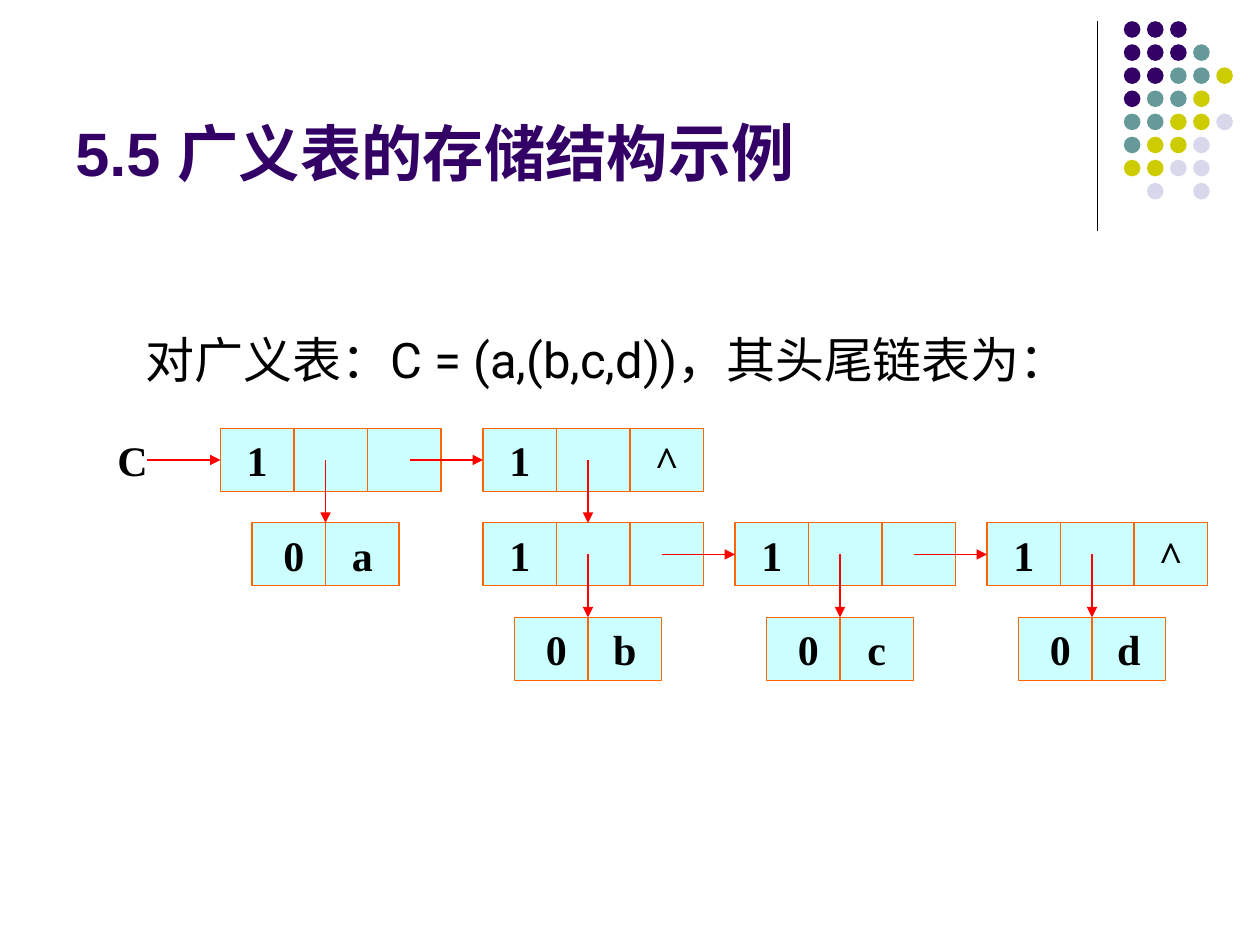
from dataclasses import dataclass

from lxml import etree
from pptx import Presentation
from pptx.dml.color import RGBColor
from pptx.enum.shapes import MSO_CONNECTOR, MSO_SHAPE
from pptx.enum.text import MSO_ANCHOR, PP_ALIGN
from pptx.oxml.ns import qn
from pptx.util import Pt

STRAIGHT = MSO_CONNECTOR.STRAIGHT
RECT, OVAL = MSO_SHAPE.RECTANGLE, MSO_SHAPE.OVAL
TOP, MIDDLE, BOTTOM = MSO_ANCHOR.TOP, MSO_ANCHOR.MIDDLE, MSO_ANCHOR.BOTTOM
LEFT, CENTER = PP_ALIGN.LEFT, PP_ALIGN.CENTER

BLACK = RGBColor(0x00, 0x00, 0x00)
PURPLE = RGBColor(0x33, 0x00, 0x66)
TEAL = RGBColor(0x66, 0x99, 0x99)
OLIVE = RGBColor(0xCC, 0xCC, 0x00)
LAVENDER = RGBColor(0xD8, 0xD8, 0xEC)
CYAN = RGBColor(0xCC, 0xFF, 0xFF)
ORANGE = RGBColor(0xFF, 0x66, 0x00)
RED = RGBColor(0xFF, 0x00, 0x00)

SERIF = "Times New Roman"
CELL_W, CELL_H, ROW_STEP = 42, 36, 54
ROW_1 = 244.8
ROW_2 = ROW_1 + ROW_STEP
ATOM_DX, HEAD_DX, ARROW_LEN = 18, 60, 42
DOT_LEFT, DOT_TOP, DOT_SIZE, DOT_STEP = 642.2, 12.1, 9.5, 13.2
DOT_COLORS = {"P": PURPLE, "T": TEAL, "O": OLIVE, "L": LAVENDER}
DOT_ROWS = ["PPP", "PPPT", "PPTTO", "PTTO", "TTOOL", "TOOL", "OOLL", " L L"]


@dataclass
class ListNode:
    x: float
    y: float
    tail: str = ""
    atom: str = ""
    arrow_in: bool = True


NODES = [
    ListNode(126, ROW_1, atom="a"),
    ListNode(276, ROW_1, tail="^"),
    ListNode(276, ROW_2, atom="b", arrow_in=False),
    ListNode(420, ROW_2, atom="c"),
    ListNode(564, ROW_2, tail="^", atom="d"),
]


def write(tf, *texts: str, sizes=(24,), font=SERIF, color=BLACK, bold=True,
          align=LEFT, anchor=TOP, wrap=True) -> None:
    tf.word_wrap = wrap
    tf.vertical_anchor = anchor
    p = tf.paragraphs[0]
    p.alignment = align
    for text, size in zip(texts, sizes):
        r = p.add_run()
        r.text = text
        r.font.size = Pt(size)
        r.font.name = font
        r.font.bold = bold
        r.font.color.rgb = color


def add_text(s, x: float, y: float, w: float, h: float, *texts: str, **fmt) -> None:
    sp = s.shapes.add_textbox(Pt(x), Pt(y), Pt(w), Pt(h))
    write(sp.text_frame, *texts, **fmt)


def add_line(s, x1: float, y1: float, x2: float, y2: float, color=BLACK,
             arrow=False, target=None):
    cx = s.shapes.add_connector(STRAIGHT, Pt(x1), Pt(y1), Pt(x2), Pt(y2))
    cx.line.color.rgb = color
    cx.line.width = Pt(0.75)
    if arrow:
        ln = cx.line._get_or_add_ln()
        etree.SubElement(ln, qn("a:tailEnd"), type="triangle")
    etree.SubElement(cx._element.spPr, qn("a:effectLst"))
    if target is not None:
        cx.end_connect(target, 1)


def add_dot(s, col: int, row: int, color: RGBColor) -> None:
    sp = s.shapes.add_shape(OVAL, Pt(DOT_LEFT + col * DOT_STEP),
                            Pt(DOT_TOP + row * DOT_STEP), Pt(DOT_SIZE), Pt(DOT_SIZE))
    sp.shadow.inherit = False
    sp.fill.solid()
    sp.fill.fore_color.rgb = color
    sp.line.fill.background()


def add_cells(s, x: float, y: float, labels: list[str]) -> list:
    cells = []
    for i, label in enumerate(labels):
        sp = s.shapes.add_shape(RECT, Pt(x + i * CELL_W), Pt(y), Pt(CELL_W), Pt(CELL_H))
        sp.shadow.inherit = False
        sp.fill.solid()
        sp.fill.fore_color.rgb = CYAN
        sp.line.color.rgb = ORANGE
        sp.line.width = Pt(0.75)
        if label:
            write(sp.text_frame, label, align=CENTER, anchor=MIDDLE, wrap=False)
        cells.append(sp)
    return cells


def add_list(s, nodes: list[ListNode]) -> None:
    firsts = []
    for node in nodes:
        firsts.append(add_cells(s, node.x, node.y, ["1", "", node.tail])[0])
        if node.atom:
            add_cells(s, node.x + ATOM_DX, node.y + ROW_STEP, [" 0", node.atom])
    for node, first in zip(nodes, firsts):
        mid = node.y + CELL_H / 2
        head = node.x + HEAD_DX
        add_line(s, head, mid, head, node.y + ROW_STEP, RED, arrow=True)
        if node.arrow_in:
            add_line(s, node.x - ARROW_LEN, mid, node.x, mid, RED, arrow=True, target=first)


def main() -> None:
    prs = Presentation()
    prs.slide_width, prs.slide_height = Pt(720), Pt(540)
    s = prs.slides.add_slide(prs.slide_layouts[6])

    add_line(s, 627, 12, 627, 132)
    for row, codes in enumerate(DOT_ROWS):
        for col, code in enumerate(codes):
            if code in DOT_COLORS:
                add_dot(s, col, row, DOT_COLORS[code])

    add_text(s, 36, 9.4, 594, 102, "5.5 广义表的存储结构", "示例", sizes=(35, 36),
             font="Arial", color=PURPLE, anchor=BOTTOM)
    add_text(s, 76.3, 185, 573, 38, "对广义表：C = (a,(b,c,d))，其头尾链表为：",
             sizes=(28,), font="Roboto", bold=False)
    add_text(s, 60, ROW_1, 24, CELL_H, "C")
    add_list(s, NODES)

    prs.save("out.pptx")


if __name__ == "__main__":
    main()
